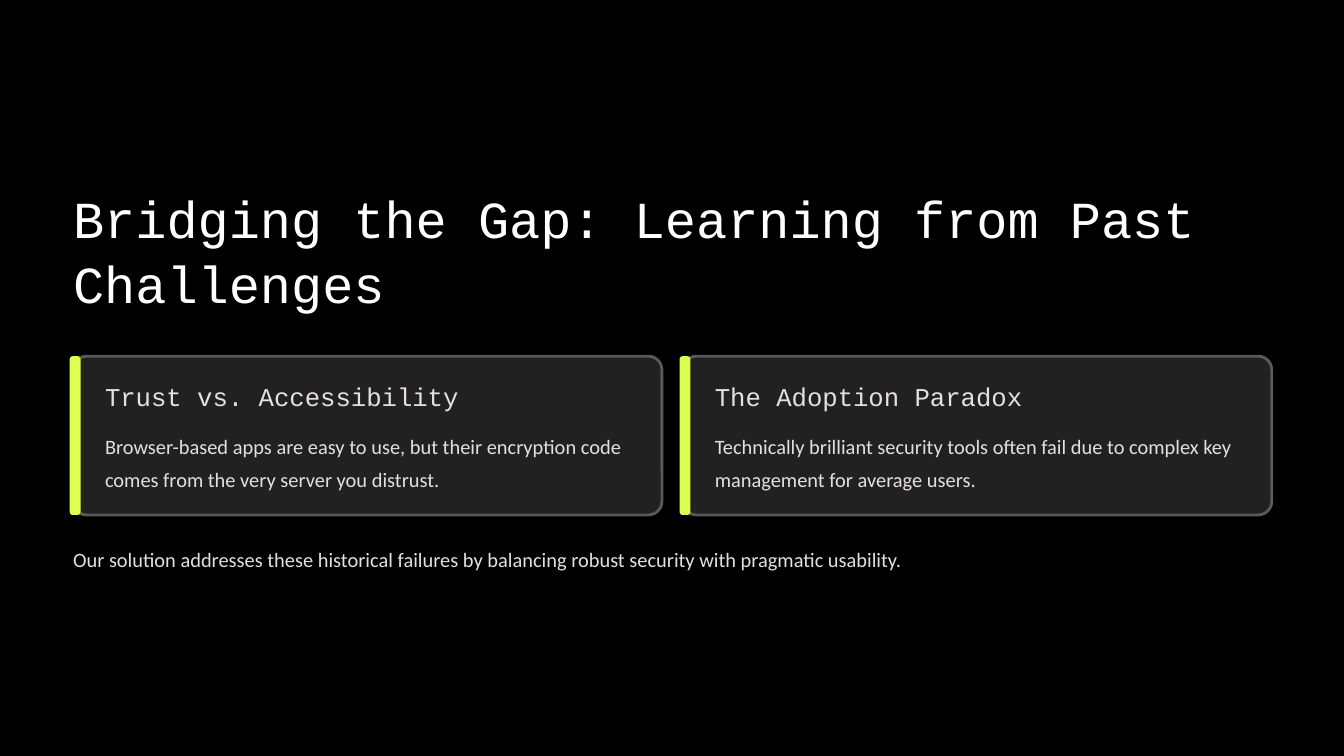
from pptx import Presentation
from pptx.dml.color import RGBColor
from pptx.enum.shapes import MSO_SHAPE as Preset
from pptx.enum.text import MSO_ANCHOR as Anchor, PP_ALIGN as Align
from pptx.util import Inches, Pt


def color(hex_value):
    """Turn a hex string into a colour."""
    return RGBColor.from_string(hex_value)


class Deck:
    """Holds the style and the current slide."""

    HEADING_FONT, BODY_FONT = "Courier New", "Calibri"
    BACKGROUND, TITLE, TEXT = "000000", "FFFFFF", "E5E0DF"
    PANEL, BORDER, ACCENT = "212121", "595959", "DCFF50"

    def __init__(self):
        """Start a presentation with one blank slide."""
        self.presentation = Presentation()
        self.presentation.slide_width = Inches(16)
        self.presentation.slide_height = Inches(9)
        self.slide = self.presentation.slides.add_slide(self.presentation.slide_layouts[6])
        backdrop = self.slide.background.fill
        backdrop.solid()
        backdrop.fore_color.rgb = color(self.BACKGROUND)

    def text(self, wording, box, size, spacing, font=BODY_FONT, ink=TEXT, wrap=True):
        """Add a text box without margins."""
        frame = self.slide.shapes.add_textbox(*map(Inches, box)).text_frame
        frame.margin_left = frame.margin_right = frame.margin_top = frame.margin_bottom = 0
        frame.word_wrap = wrap
        frame.vertical_anchor = Anchor.TOP
        frame.text = wording
        paragraph = frame.paragraphs[0]
        paragraph.alignment = Align.LEFT
        paragraph.line_spacing = Pt(spacing)
        paragraph.font.size = Pt(size)
        paragraph.font.name = font
        paragraph.font.color.rgb = color(ink)

    def rounded(self, box, radius, fill, border=None):
        """Add a rounded rectangle with an optional border."""
        shape = self.slide.shapes.add_shape(Preset.ROUNDED_RECTANGLE, *map(Inches, box))
        shape.adjustments[0] = radius
        shape.shadow.inherit = False
        shape.fill.solid()
        shape.fill.fore_color.rgb = color(fill)
        if border:
            shape.line.color.rgb = color(border)
            shape.line.width = Pt(2.4)
        else:
            shape.line.fill.background()

    def card(self, left, heading, body):
        """Add a panel with an accent bar, a heading and a body."""
        self.rounded((left, 4.24, 7.01, 1.89), 0.085, self.PANEL, self.BORDER)
        self.rounded((left - 0.04, 4.24, 0.13, 1.89), 0.279, self.ACCENT)
        self.text(heading, (left + 0.38, 4.52, 6.35, 0.39), 22, 27.5, self.HEADING_FONT, wrap=False)
        self.text(body, (left + 0.38, 5.06, 6.35, 0.79), 17.5, 28.5)


def main():
    """Build and save the slide."""
    deck = Deck()
    margin, card_step = 0.87, 7.26
    deck.text("Bridging the Gap: Learning from Past Challenges",
              (margin, 2.19, 14.26, 1.55), 44.5, 55.5, deck.HEADING_FONT, deck.TITLE)
    challenges = [
        ("Trust vs. Accessibility",
         "Browser-based apps are easy to use, but their encryption code "
         "comes from the very server you distrust."),
        ("The Adoption Paradox",
         "Technically brilliant security tools often fail due to complex key "
         "management for average users."),
    ]
    for index, (heading, body) in enumerate(challenges):
        deck.card(margin + index * card_step, heading, body)
    deck.text("Our solution addresses these historical failures by balancing "
              "robust security with pragmatic usability.",
              (margin, 6.41, 14.26, 0.4), 17.5, 28.5, wrap=False)
    deck.presentation.save("out.pptx")


if __name__ == "__main__":
    main()
